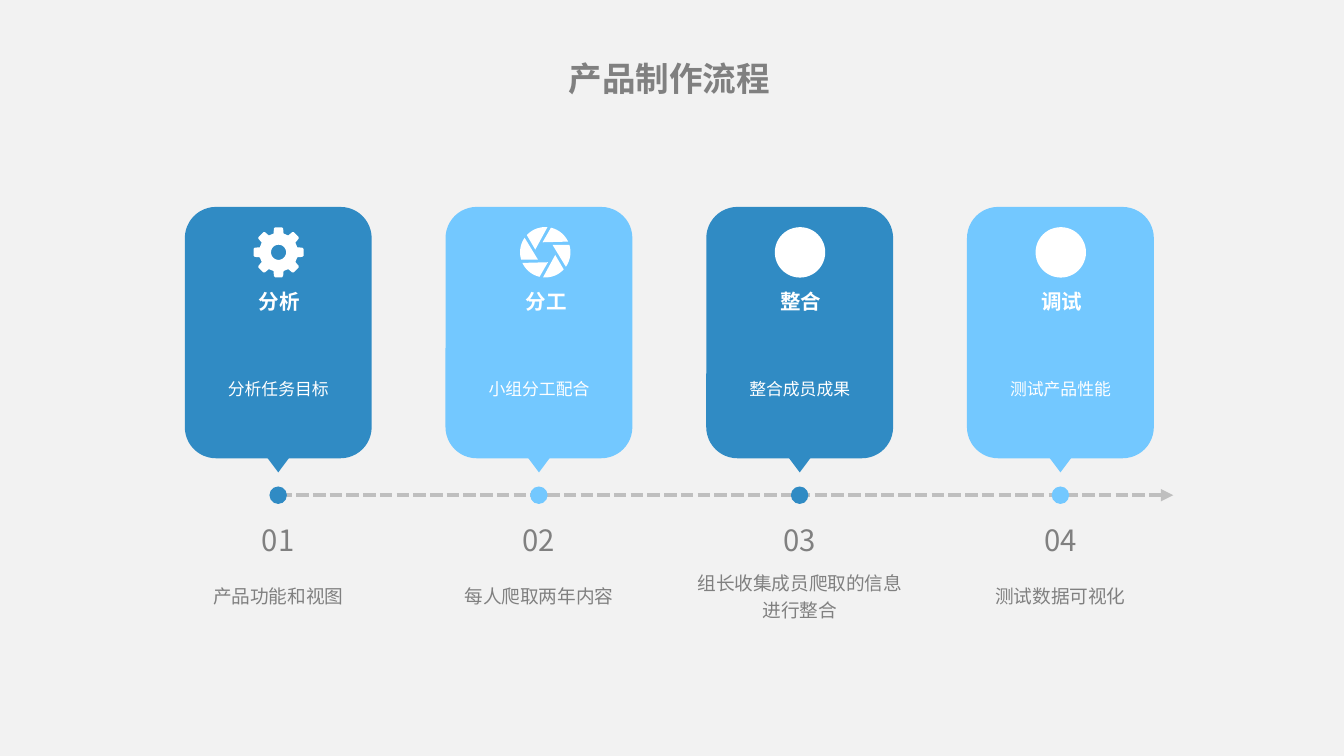
from math import cos, radians, sin

from lxml.etree import SubElement
from pptx import Presentation
from pptx.dml.color import RGBColor
from pptx.enum.dml import MSO_LINE_DASH_STYLE as Dash
from pptx.enum.shapes import MSO_CONNECTOR as Connector, MSO_SHAPE as Shape
from pptx.enum.text import MSO_ANCHOR as Anchor, PP_ALIGN as Align
from pptx.oxml.ns import qn
from pptx.util import Emu, Pt

SCALE = 4572  # EMU per px, 200 px to the inch

PAPER = RGBColor(0xF2, 0xF2, 0xF2)
WHITE = RGBColor(0xFF, 0xFF, 0xFF)
GREY = RGBColor(0x80, 0x80, 0x80)
SILVER = RGBColor(0xBF, 0xBF, 0xBF)
DARK_BLUE = RGBColor(0x30, 0x8B, 0xC4)
LIGHT_BLUE = RGBColor(0x73, 0xC8, 0xFF)

HEAD_FONT, BODY_FONT, CJK_FONT = "Arial", "Calibri", "Noto Sans CJK SC"

# name, card text, caption, colour, shift of icon and name, icon
STEPS = [
    ("分析", "分析任务目标", "产品功能和视图", DARK_BLUE, 0, "gear"),
    ("分工", "小组分工配合", "每人爬取两年内容", LIGHT_BLUE, 9, "aperture"),
    ("整合", "整合成员成果", "组长收集成员爬取的信息进行整合", DARK_BLUE, 0, "disc"),
    ("调试", "测试产品性能", "测试数据可视化", LIGHT_BLUE, 0, "disc"),
]
STEP_LEFT, STEP_TOP, STEP_WIDTH, STEP_PITCH = 275, 308, 278, 388


def px(length):
    return Emu(round(length * SCALE))


def paint(shape, color):
    shape.shadow.inherit = False
    shape.fill.solid()
    shape.fill.fore_color.rgb = color
    shape.line.fill.background()
    return shape


def add_solid(shapes, kind, left, top, width, height, color):
    return paint(shapes.add_shape(kind, px(left), px(top), px(width), px(height)), color)


def write(shape, text, size, font, color, bold=False, spacing=None,
          insets=(0, 0, 0, 0), anchor=Anchor.MIDDLE, wrap=True):
    frame = shape.text_frame
    frame.word_wrap = wrap
    frame.vertical_anchor = anchor
    (frame.margin_left, frame.margin_top,
     frame.margin_right, frame.margin_bottom) = map(px, insets)
    para = frame.paragraphs[0]
    para.alignment = Align.CENTER
    if spacing:
        para.line_spacing = spacing
    span = para.add_run()
    span.text = text
    span.font.size = Pt(size)
    span.font.name = font
    span.font.bold = bold
    span.font.color.rgb = color


def add_label(page, left, top, width, height, *args, **style):
    box = page.shapes.add_textbox(px(left), px(top), px(width), px(height))
    write(box, *args, **style)


def gear_outlines():
    tooth = [(-15, 0.77), (-11, 0.96), (-8, 1), (8, 1), (11, 0.96), (15, 0.77)]
    rim = [(turn + angle, radius) for turn in range(0, 360, 45) for angle, radius in tooth]
    hole = [(angle, 0.3) for angle in range(0, 360, 10)]
    return [rim, hole]


def aperture_outlines():
    return [[(turn + 135, 0.41)] + [(turn + angle, 1) for angle in range(163, 216, 4)]
            for turn in range(0, 360, 60)]


def add_icon(page, kind, left, top, size):
    if kind == "disc":
        add_solid(page.shapes, Shape.OVAL, left, top, size, size, WHITE)
        return
    radius = size / 2
    outlines = gear_outlines() if kind == "gear" else aperture_outlines()
    contours = [[(px(left + radius + radius * reach * cos(radians(angle))),
                  px(top + radius + radius * reach * sin(radians(angle))))
                 for angle, reach in outline] for outline in outlines]
    builder = page.shapes.build_freeform(*contours[0][0])
    for number, points in enumerate(contours):
        if number:
            builder.move_to(*points[0])
        builder.add_line_segments(points[1:], close=True)
    paint(builder.convert_to_shape(), WHITE)


def add_title(page, left, top, width, height):
    add_label(page, left, top, width, height, "产品制作流程", 18, HEAD_FONT, GREY,
              bold=True, insets=(20, 10, 20, 10))


def add_timeline(page, left, right, y):
    line = page.shapes.add_connector(Connector.STRAIGHT, px(left), px(y), px(right), px(y))
    line.line.color.rgb = SILVER
    line.line.width = Pt(2.25)
    line.line.dash_style = Dash.SQUARE_DOT
    SubElement(line.line._get_or_add_ln(), qn("a:tailEnd"), type="triangle")
    SubElement(line._element.spPr, qn("a:effectLst"))


def add_step(page, left, top, width, number, step):
    name, detail, caption, color, shift, icon = step
    middle = left + width / 2

    # Card with its pointer
    group = page.shapes.add_group_shape()
    card = add_solid(group.shapes, Shape.ROUNDED_RECTANGLE, left, top, width, 374, color)
    write(card, detail, 9, BODY_FONT, WHITE, spacing=1.2,
          insets=(20, 236, 20, 10), anchor=Anchor.TOP)
    pointer = add_solid(group.shapes, Shape.ISOSCELES_TRIANGLE,
                        middle - 21, top + 367, 42, 28, color)
    pointer.rotation = 180

    # Icon and name
    add_icon(page, icon, left + 102 + shift, top + 30, 75)
    add_label(page, left + 37 + shift, top + 116, 208, 50, name, 11, BODY_FONT, WHITE,
              bold=True, insets=(14, 8, 14, 8), wrap=False)

    # Dot on the timeline, number and caption
    add_solid(page.shapes, Shape.OVAL, middle - 13, top + 416, 26, 26, color)
    add_label(page, middle - 40, top + 470, 80, 50, f"{number:02}", 15.7, CJK_FONT, GREY,
              wrap=False)
    add_label(page, middle - 159, top + 520, 318, 112, caption, 10, CJK_FONT, GREY,
              spacing=1.2)


def main():
    deck = Presentation()
    deck.slide_width, deck.slide_height = px(2000), px(1125)
    page = deck.slides.add_slide(deck.slide_layouts[6])
    page.background.fill.solid()
    page.background.fill.fore_color.rgb = PAPER

    add_title(page, 276, 63, 1440, 106)
    add_timeline(page, 416, 1746, 737)
    for index, step in enumerate(STEPS):
        add_step(page, STEP_LEFT + index * STEP_PITCH, STEP_TOP, STEP_WIDTH, index + 1, step)
    deck.save("out.pptx")


if __name__ == "__main__":
    main()
